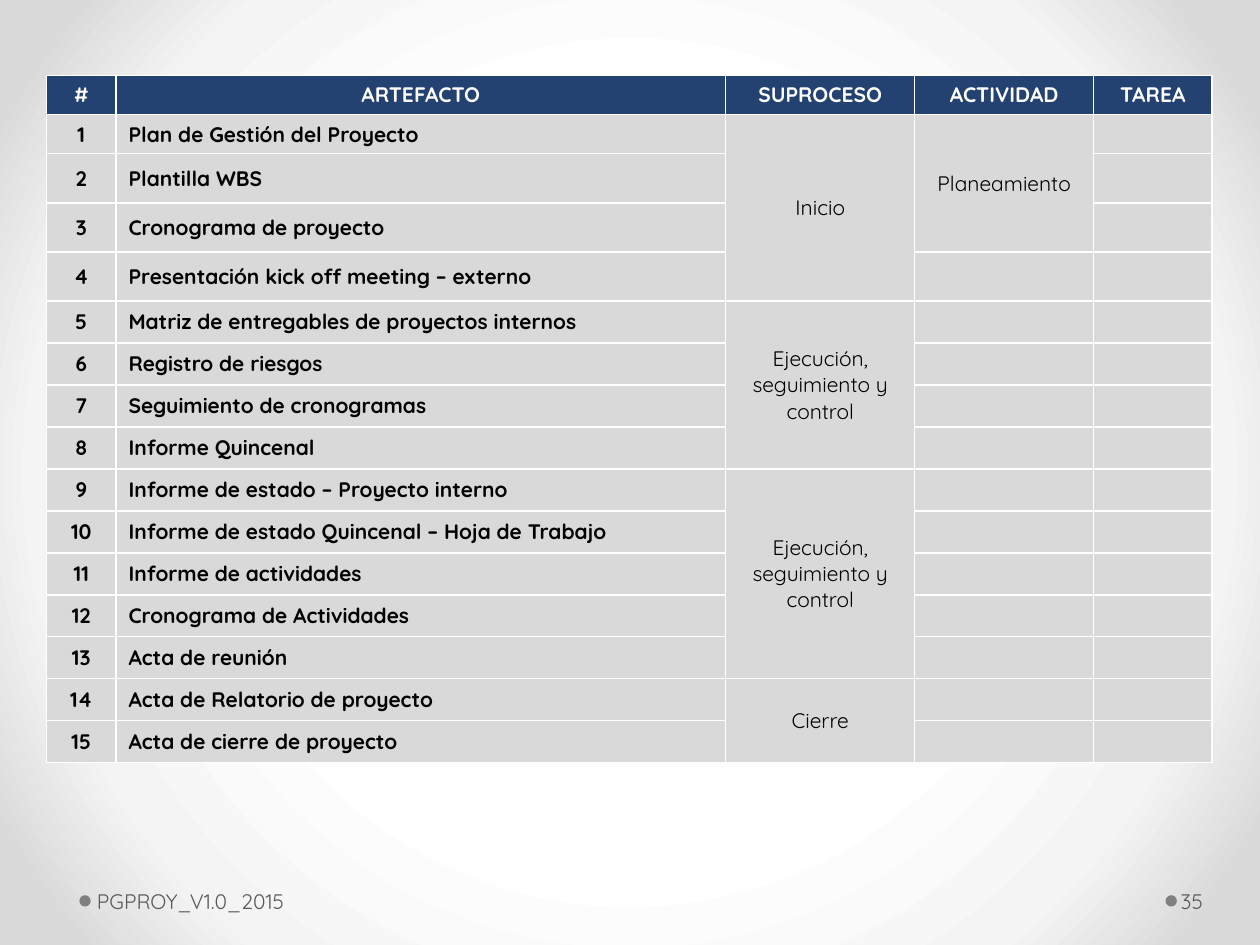
from pptx import Presentation
from pptx.dml.color import RGBColor
from pptx.enum.shapes import MSO_SHAPE
from pptx.enum.text import MSO_ANCHOR, PP_ALIGN
from pptx.oxml import parse_xml
from pptx.oxml.ns import nsdecls
from pptx.util import Inches, Pt

CENTER, JUSTIFY, LEFT = PP_ALIGN.CENTER, PP_ALIGN.JUSTIFY, PP_ALIGN.LEFT
TOP, MIDDLE = MSO_ANCHOR.TOP, MSO_ANCHOR.MIDDLE
OVAL = MSO_SHAPE.OVAL

FONT = "Quicksand"
WHITE, BLACK, NAVY, SILVER = "FFFFFF", "000000", "234271", "D9D9D9"
DOT_GRAY, FOOTER_GRAY = "808080", "595959"

HEADERS = ["#", "ARTEFACTO", "SUPROCESO", "ACTIVIDAD", "TAREA"]
ARTIFACTS = [
    "Plan de Gestión del Proyecto",
    "Plantilla WBS",
    "Cronograma de proyecto",
    "Presentación kick off meeting – externo",
    "Matriz de entregables de proyectos internos",
    "Registro de riesgos",
    "Seguimiento de cronogramas",
    "Informe Quincenal",
    "Informe de estado – Proyecto interno",
    "Informe de estado Quincenal – Hoja de Trabajo",
    "Informe de actividades",
    "Cronograma de Actividades",
    "Acta de reunión",
    "Acta de Relatorio de proyecto",
    "Acta de cierre de proyecto",
]
# (first row, last row, column, text)
GROUPS = [
    (1, 4, 2, "Inicio"),
    (1, 3, 3, "Planeamiento"),
    (5, 8, 2, "Ejecución, seguimiento y control"),
    (9, 13, 2, "Ejecución, seguimiento y control"),
    (14, 15, 2, "Cierre"),
]
COL_WIDTHS = [0.55, 4.84, 1.5, 1.42, 0.94]
ROW_HEIGHTS = [0.31] * 2 + [0.39] * 3 + [1 / 3] * 11


def rgb(color):
    return RGBColor.from_string(color)


def style_paragraph(p, color, align=LEFT, bold=False):
    p.alignment = align
    p.font.name = FONT
    p.font.size = Pt(12)
    p.font.bold = bold
    p.font.color.rgb = rgb(color)


def set_background(s):
    """Radial gradient, white in the middle and gray at the corners."""
    stops = "".join(
        f'<a:gs pos="{pos}000"><a:srgbClr val="{color}"/></a:gs>'
        for pos, color in [(50, WHITE), (76, "F4F4F4"), (92, "DADADA")]
    )
    gradient = parse_xml(
        f'<a:gradFill {nsdecls("a")} rotWithShape="1"><a:gsLst>{stops}</a:gsLst>'
        '<a:path path="circle">'
        '<a:fillToRect l="50000" t="50000" r="50000" b="50000"/>'
        "</a:path></a:gradFill>"
    )
    s.background.fill.solid()
    bg_pr = s.element.cSld.bg.bgPr
    bg_pr.replace(bg_pr[0], gradient)


def add_borders(cell):
    tc_pr = cell._tc.get_or_add_tcPr()
    for i, side in enumerate(["lnL", "lnR", "lnT", "lnB"]):
        tc_pr.insert(i, parse_xml(
            f'<a:{side} {nsdecls("a")} w="12700"><a:solidFill>'
            f'<a:srgbClr val="{WHITE}"/></a:solidFill></a:{side}>'
        ))


def fill_cell(cell, text, fill, color, align=CENTER, bold=False, anchor=MIDDLE):
    cell.text = text
    cell.vertical_anchor = anchor
    cell.fill.solid()
    cell.fill.fore_color.rgb = rgb(fill)
    style_paragraph(cell.text_frame.paragraphs[0], color, align, bold)
    add_borders(cell)


def add_artifact_table(s, left, top, width, height):
    table = s.shapes.add_table(
        len(ROW_HEIGHTS), len(COL_WIDTHS),
        Inches(left), Inches(top), Inches(width), Inches(height),
    ).table
    for column, w in zip(table.columns, COL_WIDTHS):
        column.width = Inches(w)
    for row, h in zip(table.rows, ROW_HEIGHTS):
        row.height = Inches(h)

    for c, header in enumerate(HEADERS):
        fill_cell(table.cell(0, c), header, NAVY, WHITE, bold=True, anchor=TOP)

    group_texts = {(first, c): text for first, _, c, text in GROUPS}
    for r, artifact in enumerate(ARTIFACTS, start=1):
        fill_cell(table.cell(r, 0), str(r), SILVER, BLACK, bold=True)
        fill_cell(table.cell(r, 1), artifact, SILVER, BLACK, JUSTIFY, bold=True)
        for c in range(2, len(HEADERS)):
            fill_cell(table.cell(r, c), group_texts.get((r, c), ""), SILVER, BLACK)
    for first, last, c, _ in GROUPS:
        table.cell(first, c).merge(table.cell(last, c))


def add_footer_item(s, text, left, top, width, height, inset_left, inset_right):
    """Footer text with a round dot just before its box."""
    dot_size = 0.09
    dot = s.shapes.add_shape(
        OVAL, Inches(left - dot_size), Inches(top + (height - dot_size) / 2),
        Inches(dot_size), Inches(dot_size),
    )
    dot.shadow.inherit = False
    dot.fill.solid()
    dot.fill.fore_color.rgb = rgb(DOT_GRAY)
    dot.line.fill.background()

    tf = s.shapes.add_textbox(
        Inches(left), Inches(top), Inches(width), Inches(height)
    ).text_frame
    tf.word_wrap = True
    tf.vertical_anchor = MIDDLE
    tf.margin_left, tf.margin_right = Inches(inset_left), Inches(inset_right)
    tf.text = text
    style_paragraph(tf.paragraphs[0], FOOTER_GRAY)


def main():
    prs = Presentation()
    prs.slide_width, prs.slide_height = Inches(10), Inches(7.5)
    s = prs.slides.add_slide(prs.slide_layouts[6])
    set_background(s)
    add_footer_item(s, "35", 9.34, 6.95, 0.61, 0.4, 0.03, 0.05)
    add_footer_item(s, "PGPROY_V1.0_2015", 0.72, 6.95, 3.96, 0.4, 0.05, 0.1)
    add_artifact_table(s, 0.37, 0.6, 9.25, 5.47)
    prs.save("out.pptx")


if __name__ == "__main__":
    main()
